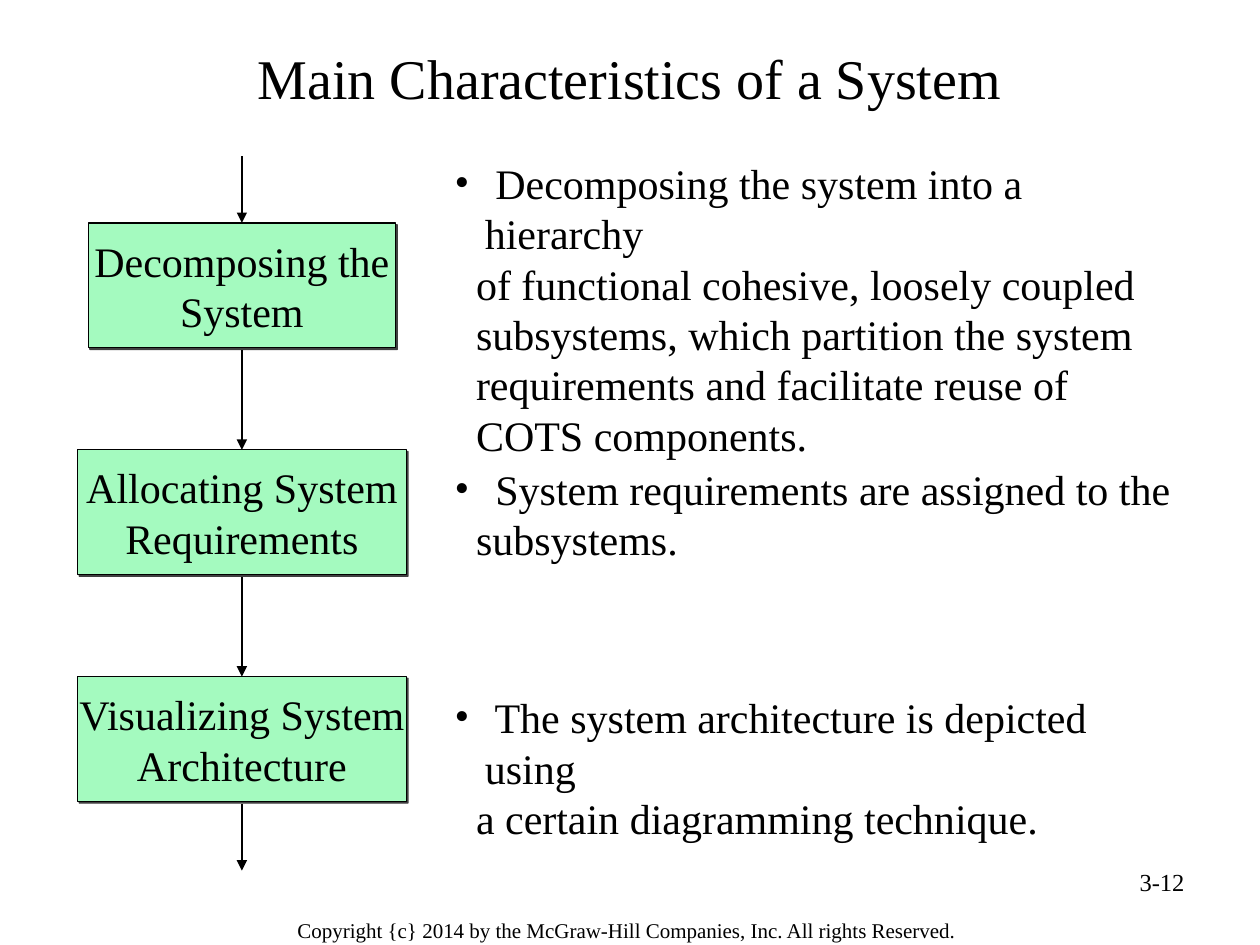
"""Build a slide on the main characteristics of a system: a flow of three steps with notes."""
from dataclasses import dataclass

from lxml.etree import SubElement
from pptx import Presentation
from pptx.dml.color import RGBColor
from pptx.enum.shapes import MSO_CONNECTOR, MSO_SHAPE
from pptx.enum.text import MSO_ANCHOR, PP_ALIGN
from pptx.oxml.ns import qn
from pptx.util import Inches, Pt

FONT = "Times New Roman"
BLACK = "000000"
GREEN = "A4FABF"
FLOW_CENTER = 1.92
FIRST_TOP = 1.77
STEP_PITCH = 1.8
STEP_HEIGHT = 0.99
ARROW_GAP = 0.02
END_ARROW = 0.53
NOTE_LEFT, NOTE_WIDTH = 3.51, 5.94
BULLET_INDENT, LINE_INDENT = 0.24, 0.17


@dataclass
class Step:
    label: str
    width: float
    note_top: float
    note_height: float
    note_lines: tuple[str, ...]


@dataclass
class Caption:
    text: str
    left: float
    top: float
    width: float
    height: float
    size: float
    align: PP_ALIGN
    anchor: MSO_ANCHOR = MSO_ANCHOR.TOP


STEPS = [
    Step("Decomposing the System", 2.44, 1.2, 2.1, (
        " Decomposing the system into a hierarchy",
        "of functional cohesive, loosely coupled",
        "subsystems, which partition the system",
        "requirements and facilitate reuse of",
        "COTS components.",
    )),
    Step("Allocating System Requirements", 2.61, 3.63, 0.9, (
        " System requirements are assigned to the",
        "subsystems.",
    )),
    Step("Visualizing System Architecture", 2.61, 5.44, 0.9, (
        " The system architecture is depicted using",
        "a certain diagramming technique.",
    )),
]

CAPTIONS = [
    Caption("Main Characteristics of a System", 0.5, 0.3, 9, 0.62, 32,
            PP_ALIGN.CENTER, MSO_ANCHOR.MIDDLE),
    Caption("3-12", 7.17, 6.83, 2.33, 0.52, 14, PP_ALIGN.RIGHT),
    Caption("Copyright {c} 2014 by the McGraw-Hill Companies, Inc. All rights Reserved.",
            1.88, 7.23, 6.19, 0.31, 12, PP_ALIGN.CENTER),
]


def color(value: str) -> RGBColor:
    """Turn a hex string into a colour."""
    return RGBColor.from_string(value)


def style(paragraph, size: float, align: PP_ALIGN = PP_ALIGN.LEFT) -> None:
    """Set alignment and font of a paragraph."""
    paragraph.alignment = align
    for run in paragraph.runs:
        run.font.name = FONT
        run.font.size = Pt(size)
        run.font.color.rgb = color(BLACK)


def add_caption(slide, caption: Caption) -> None:
    """Add a single line of text."""
    box = slide.shapes.add_textbox(Inches(caption.left), Inches(caption.top),
                                   Inches(caption.width), Inches(caption.height))
    frame = box.text_frame
    frame.word_wrap = True
    frame.vertical_anchor = caption.anchor
    frame.text = caption.text
    style(frame.paragraphs[0], caption.size, caption.align)


def add_step(slide, step: Step, top: float) -> None:
    """Add the green box of a step with its thin shadow."""
    box = slide.shapes.add_shape(MSO_SHAPE.RECTANGLE, Inches(FLOW_CENTER - step.width / 2),
                                 Inches(top), Inches(step.width), Inches(STEP_HEIGHT))
    box.fill.solid()
    box.fill.fore_color.rgb = color(GREEN)
    box.line.color.rgb = color(BLACK)
    box.line.width = Pt(0.75)
    effects = SubElement(box._element.spPr, qn("a:effectLst"))
    shadow = SubElement(effects, qn("a:outerShdw"), blurRad="0", dist=str(Pt(1.4)),
                        dir="2700000", algn="ctr", rotWithShape="0")
    tint = SubElement(shadow, qn("a:srgbClr"), val=BLACK)
    SubElement(tint, qn("a:alpha"), val="75000")
    frame = box.text_frame
    frame.margin_left = frame.margin_right = 0
    frame.word_wrap = True
    frame.vertical_anchor = MSO_ANCHOR.MIDDLE
    frame.text = step.label
    style(frame.paragraphs[0], 24, PP_ALIGN.CENTER)


def add_note(slide, step: Step) -> None:
    """Add the bulleted explanation beside a step."""
    box = slide.shapes.add_textbox(Inches(NOTE_LEFT), Inches(step.note_top),
                                   Inches(NOTE_WIDTH), Inches(step.note_height))
    frame = box.text_frame
    frame.word_wrap = True
    frame.text = "\n".join(step.note_lines)
    for index, paragraph in enumerate(frame.paragraphs):
        properties = paragraph._p.get_or_add_pPr()
        if index == 0:
            properties.set("marL", str(Inches(BULLET_INDENT)))
            properties.set("indent", str(-Inches(BULLET_INDENT)))
            SubElement(properties, qn("a:buFont"), typeface=FONT)
            SubElement(properties, qn("a:buChar"), char="•")
        else:
            properties.set("marL", str(Inches(LINE_INDENT)))
            properties.set("indent", "0")
        style(paragraph, 24)


def add_arrow(slide, start: float, end: float) -> None:
    """Add a downward arrow on the centre line of the flow."""
    arrow = slide.shapes.add_connector(MSO_CONNECTOR.STRAIGHT, Inches(FLOW_CENTER),
                                       Inches(start), Inches(FLOW_CENTER), Inches(end))
    arrow.line.color.rgb = color(BLACK)
    arrow.line.width = Pt(0.75)
    SubElement(arrow.line._get_or_add_ln(), qn("a:tailEnd"), type="triangle", w="med", len="med")
    SubElement(arrow._element.spPr, qn("a:effectLst"))


def main() -> None:
    """Build and save the slide."""
    deck = Presentation()
    deck.slide_width, deck.slide_height = Inches(10), Inches(7.5)
    slide = deck.slides.add_slide(deck.slide_layouts[6])
    for caption in CAPTIONS:
        add_caption(slide, caption)
    arrow_start = FIRST_TOP - END_ARROW
    for index, step in enumerate(STEPS):
        top = FIRST_TOP + index * STEP_PITCH
        add_arrow(slide, arrow_start, top)
        add_step(slide, step, top)
        add_note(slide, step)
        arrow_start = top + STEP_HEIGHT + ARROW_GAP
    add_arrow(slide, arrow_start, arrow_start + END_ARROW)
    deck.save("out.pptx")


if __name__ == "__main__":
    main()
